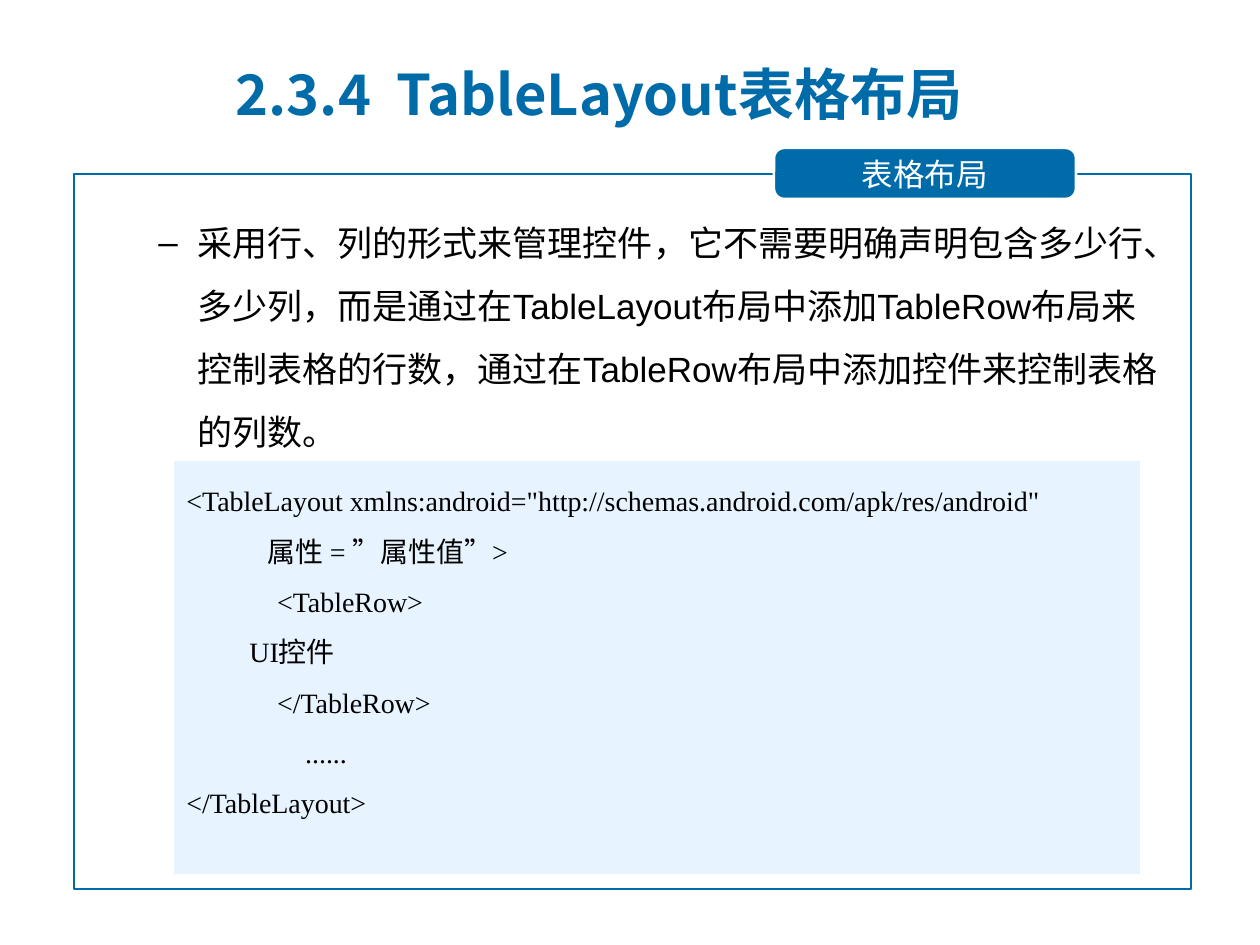
from lxml import etree
from pptx import Presentation, util as u
from pptx.dml.color import RGBColor
from pptx.enum import shapes, text
from pptx.oxml.ns import qn

SCALE = 914400 / 126
BLUE = RGBColor(0x00, 0x6B, 0xA9)
PALE = RGBColor(0xE7, 0xF4, 0xFF)
WHITE = RGBColor(0xFF, 0xFF, 0xFF)
BLACK = RGBColor(0, 0, 0)
HAN = "Noto Sans CJK SC"

INTRO = ("采用行、列的形式来管理控件，它不需要明确声明包含多少行、多少列，"
         "而是通过在TableLayout布局中添加TableRow布局来控制表格的行数，"
         "通过在TableRow布局中添加控件来控制表格的列数。")
CODE = """<TableLayout xmlns:android="http://schemas.android.com/apk/res/android"
             属性 = ”属性值”>
             <TableRow>
\tUI控件
             </TableRow>
                 ......
</TableLayout>"""


def px(n):
    return u.Emu(round(n * SCALE))


def style(para, size, color, name=HAN, bold=False, align=text.PP_ALIGN.LEFT):
    """Format a paragraph, with one font for Latin and HAN for Chinese."""
    para.alignment = align
    font = para.font
    font.size, font.bold, font.name = u.Pt(size), bold, name
    font.color.rgb = color
    latin = para._p.pPr.find(qn("a:defRPr")).find(qn("a:latin"))
    east = etree.Element(qn("a:ea"), typeface=HAN)
    latin.addnext(east)


def add_box(slide, kind, box, fill=None, line=None):
    shape = slide.shapes.add_shape(kind, *map(px, box))
    shape.shadow.inherit = False
    if fill is None:
        shape.fill.background()
    else:
        shape.fill.solid()
        shape.fill.fore_color.rgb = fill
    if line is None:
        shape.line.fill.background()
    else:
        shape.line.color.rgb = line
        shape.line.width = u.Pt(1.5)
    return shape


def set_title(slide, words, box):
    title = slide.shapes.title
    title.left, title.top, title.width, title.height = map(px, box)
    frame = title.text_frame
    frame.text = words
    frame.auto_size = text.MSO_AUTO_SIZE.NONE
    frame.vertical_anchor = text.MSO_ANCHOR.MIDDLE
    style(frame.paragraphs[0], 32, BLUE, bold=True)


def add_tab(slide, words, box):
    tab = add_box(slide, shapes.MSO_SHAPE.ROUNDED_RECTANGLE, box, BLUE, WHITE)
    tab.adjustments[0] = 0.2
    frame = tab.text_frame
    frame.text = words
    frame.vertical_anchor = text.MSO_ANCHOR.MIDDLE
    style(frame.paragraphs[0], 18, WHITE, align=text.PP_ALIGN.CENTER)


def add_point(slide, words, box):
    """Add a text box with one dashed, indented paragraph."""
    frame = slide.shapes.add_textbox(*map(px, box)).text_frame
    frame.word_wrap = True
    para = frame.paragraphs[0]
    para.text = words
    para.line_spacing = 1.5
    props = para._p.get_or_add_pPr()
    props.set("marL", str(px(102)))
    props.set("indent", str(px(-39)))
    etree.SubElement(props, qn("a:buFont"), typeface="Arial")
    etree.SubElement(props, qn("a:buChar"), char="–")
    style(para, 20, BLACK, "Arial")


def add_code(slide, code, box):
    panel = add_box(slide, shapes.MSO_SHAPE.RECTANGLE, box, PALE)
    frame = panel.text_frame
    frame.text = code
    frame.vertical_anchor = text.MSO_ANCHOR.TOP
    for para in frame.paragraphs:
        para.line_spacing = 1.5
        style(para, 16, BLACK, "Times New Roman")


def main():
    deck = Presentation()
    deck.slide_width, deck.slide_height = px(1260), px(945)
    slide = deck.slides.add_slide(deck.slide_layouts[5])
    set_title(slide, "2.3.4  TableLayout表格布局", (223, 55, 774, 77))
    add_box(slide, shapes.MSO_SHAPE.RECTANGLE, (74, 174, 1117, 715), line=BLUE)
    add_tab(slide, "表格布局", (774, 148, 302, 51))
    add_point(slide, INTRO, (83, 194, 1099, 241))
    add_code(slide, CODE, (174, 461, 966, 413))
    deck.save("out.pptx")


if __name__ == "__main__":
    main()
